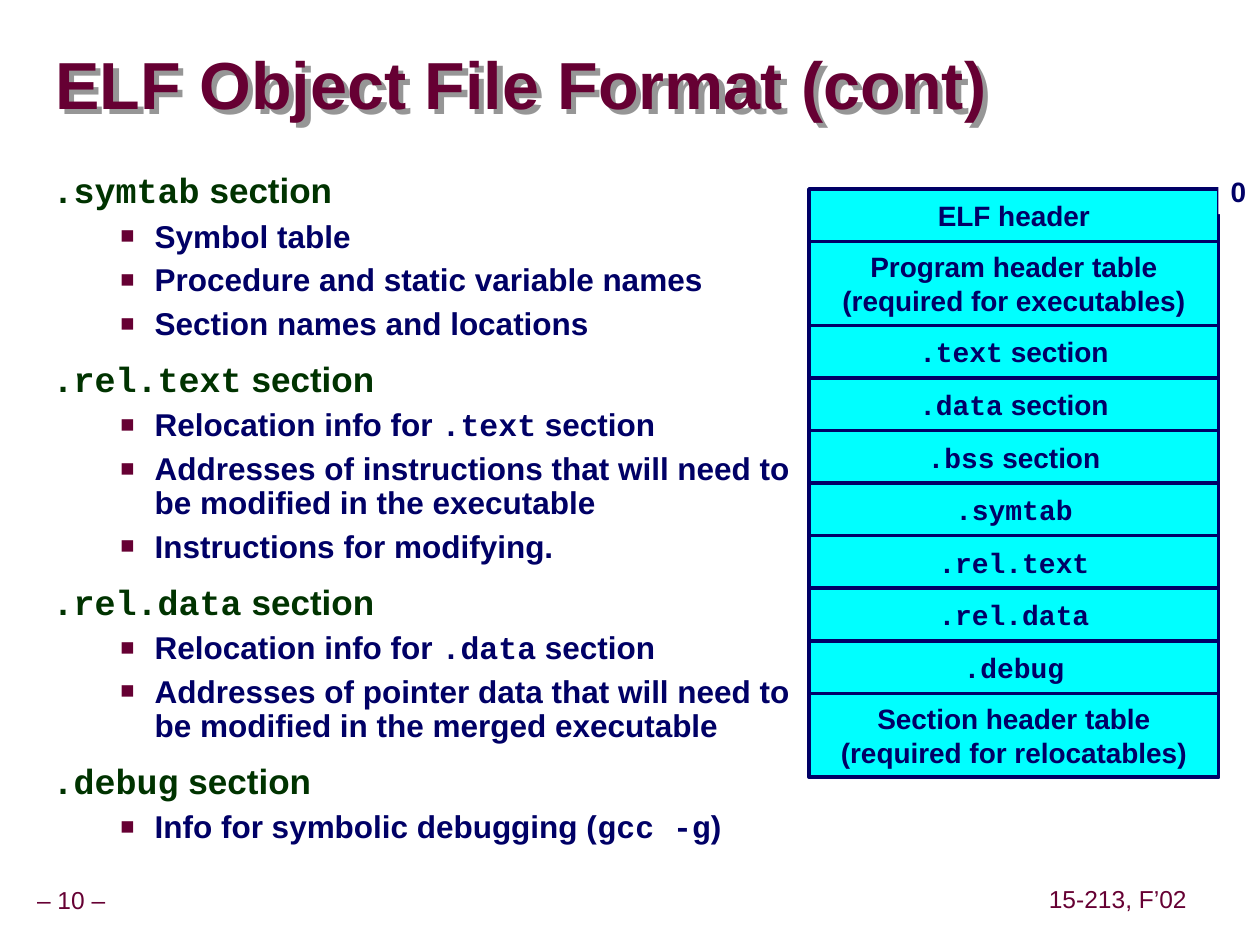
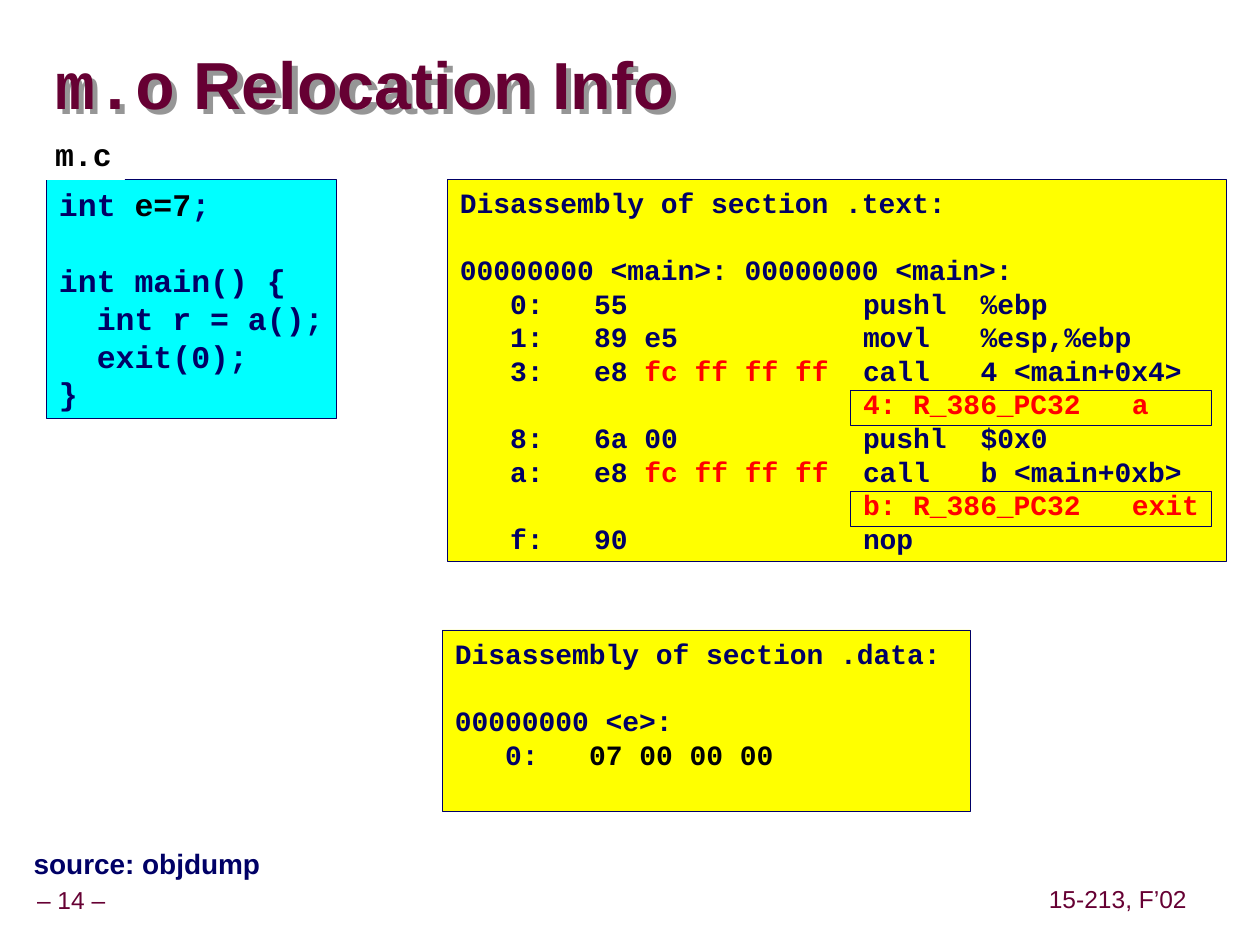
from dataclasses import dataclass, replace

from lxml import etree
from pptx import Presentation
from pptx.dml.color import RGBColor
from pptx.enum.shapes import MSO_SHAPE
from pptx.enum.text import MSO_ANCHOR, PP_ALIGN
from pptx.oxml.ns import qn
from pptx.util import Cm, Pt

RECT = MSO_SHAPE.RECTANGLE
TOP, MIDDLE = MSO_ANCHOR.TOP, MSO_ANCHOR.MIDDLE
LEFT, CENTER = PP_ALIGN.LEFT, PP_ALIGN.CENTER
LINE_HEIGHT = 1.2  # line pitch per point of type
CHAR_WIDTH = 0.6  # Courier advance per point of type


@dataclass(frozen=True)
class Style:
    size: int
    color: str
    font: str = "Arial"
    bold: bool = True

    def mono(self):
        return replace(self, font="Courier New")

    def tinted(self, color):
        return replace(self, color=color)


@dataclass(frozen=True)
class Theme:
    maroon: str = "660033"
    navy: str = "000066"
    green: str = "003300"
    cyan: str = "00FFFF"
    yellow: str = "FFFF00"
    red: str = "FF0000"
    ink: str = "000004"
    black: str = "000000"
    white: str = "FFFFFF"
    shadow: str = "969696"
    title: Style = Style(38, maroon)
    footer: Style = Style(14, maroon, bold=False)
    heading: Style = Style(20, green)
    bullet: Style = Style(18, navy)
    label: Style = Style(16, navy)


T = Theme()
LISTING = T.label.mono()
SOURCE_CODE = T.bullet.mono()


def sub(parent, tag, **attrs):
    return etree.SubElement(parent, qn(tag), {k: str(v) for k, v in attrs.items()})


def write(p, marked, base, accent=None, spacing=1.0, before=0, align=LEFT):
    """Fill a paragraph; parts between backticks take the accent style."""
    p.alignment = align
    p.line_spacing = Pt(round(base.size * LINE_HEIGHT * spacing, 1))
    p.space_before = Pt(before)
    for i, part in enumerate(marked.split("`")):
        if not part:
            continue
        style = accent if i % 2 else base
        r = p.add_run()
        r.text = part
        r.font.size = Pt(style.size)
        r.font.name = style.font
        r.font.bold = style.bold
        r.font.color.rgb = RGBColor.from_string(style.color)


def paragraphs(tf):
    """Yield the first paragraph of a frame, then new ones on demand.

    In a zip it goes last, so that no paragraph is added after the text ends.
    """
    yield tf.paragraphs[0]
    while True:
        yield tf.add_paragraph()


def set_frame(tf, anchor=TOP, left=0.25, right=0.0, vertical=0.13):
    tf.word_wrap = True
    tf.vertical_anchor = anchor
    tf.margin_left, tf.margin_right = Cm(left), Cm(right)
    tf.margin_top = tf.margin_bottom = Cm(vertical)


def add_text(s, box, anchor=TOP, **margins):
    sp = s.shapes.add_textbox(*map(Cm, box))
    set_frame(sp.text_frame, anchor, **margins)
    return sp


def add_box(s, box, fill=None, line=None, width=0.25, anchor=TOP, **margins):
    sp = s.shapes.add_shape(RECT, *map(Cm, box))
    sp.shadow.inherit = False
    if fill:
        sp.fill.solid()
        sp.fill.fore_color.rgb = RGBColor.from_string(fill)
    else:
        sp.fill.background()
    if line:
        sp.line.color.rgb = RGBColor.from_string(line)
        sp.line.width = Pt(width)
    else:
        sp.line.fill.background()
    set_frame(sp.text_frame, anchor, **margins)
    return sp


def add_title(s, marked):
    sp = add_text(s, (1.12, 0.69, 24.21, 2.16), MIDDLE, left=0, vertical=0)
    write(sp.text_frame.paragraphs[0], marked, T.title, T.title.mono(), 0.87)
    effects = sub(sp._element.spPr, "a:effectLst")
    shadow = sub(effects, "a:outerShdw", dist=Cm(0.15), dir=45 * 60000,
                 algn="tl", rotWithShape=0)
    sub(shadow, "a:srgbClr", val=T.shadow)


def add_footers(s, number):
    for text, box in ((f"– {number} –", (0, 17.78, 2.87, 0.79)),
                      ("15-213, F’02", (21.01, 17.75, 3.05, 0.79))):
        tf = add_text(s, box, MIDDLE, left=0).text_frame
        write(tf.paragraphs[0], text, T.footer, spacing=0.9, align=CENTER)


def new_slide(prs, title, number):
    s = prs.slides.add_slide(prs.slide_layouts[6])
    add_footers(s, number)
    add_title(s, title)
    return s


def set_bullet(p):
    pPr = p._p.get_or_add_pPr()
    pPr.set("marL", str(Cm(2.06)))
    pPr.set("indent", str(Cm(-0.69)))
    sub(sub(pPr, "a:buClr"), "a:srgbClr", val=T.maroon)
    sub(pPr, "a:buSzPct", val=75000)
    sub(pPr, "a:buFont", typeface="Arial")
    sub(pPr, "a:buChar", char="■")


def add_outline(s, box, sections):
    tf = add_text(s, box, right=0.25).text_frame
    new = paragraphs(tf)
    for heading, bullets in sections:
        write(next(new), heading, T.heading, T.heading.mono(), 0.85, 12.5)
        for bullet in bullets:
            p = next(new)
            write(p, bullet, T.bullet, T.bullet.mono(), 0.9, 5.6)
            set_bullet(p)


def add_stack(s, left, top, width, cells):
    """Pile up boxes whose height follows their number of lines."""
    heights = {1: 1.06, 2: 1.69}
    for lines in cells:
        height = heights[len(lines)]
        sp = add_box(s, (left, top, width, height), T.cyan, T.navy, 2, MIDDLE, right=0.25)
        for line, p in zip(lines, paragraphs(sp.text_frame)):
            write(p, line, T.label, T.label.mono(), align=CENTER)
        top += height


def add_code(s, box, fill, lines, style, accent_color):
    """Lines are (text, columns of its tab stops, blank line before)."""
    sp = add_box(s, box, fill, T.navy)
    for (text, columns, gap), p in zip(lines, paragraphs(sp.text_frame)):
        before = style.size * LINE_HEIGHT if gap else 0
        write(p, text, style, style.tinted(accent_color), before=before)
        if columns:
            tabs = sub(p._p.get_or_add_pPr(), "a:tabLst")
            for column in columns:
                sub(tabs, "a:tab", pos=Pt(column * style.size * CHAR_WIDTH), algn="l")


def build_format_slide(prs):
    s = new_slide(prs, "ELF Object File Format (cont)", 10)
    add_outline(s, (0.81, 3.4, 15.49, 14.5), [
        ("`.symtab` section", [
            "Symbol table",
            "Procedure and static variable names",
            "Section names and locations"]),
        ("`.rel.text` section", [
            "Relocation info for `.text` section",
            "Addresses of instructions that will need to be modified in the executable",
            "Instructions for modifying."]),
        ("`.rel.data` section", [
            "Relocation info for `.data` section",
            "Addresses of pointer data that will need to be modified in the merged executable"]),
        ("`.debug` section", ["Info for symbolic debugging (`gcc -g`)"]),
    ])
    add_stack(s, 16.31, 3.81, 8.26, [
        ["ELF header"],
        ["Program header table", "(required for executables)"],
        *([f"`{name}` section"] for name in (".text", ".data", ".bss")),
        *([f"`{name}`"] for name in (".symtab", ".rel.text", ".rel.data", ".debug")),
        ["Section header table", "(required for relocatables)"],
    ])
    offset = add_box(s, (24.56, 3.38, 0.81, 0.94), T.white)
    write(offset.text_frame.paragraphs[0], "0", T.label)


def build_relocation_slide(prs):
    s = new_slide(prs, "`m.o` Relocation Info", 14)
    instruction = (3, 8, 24, 31)
    relocation = (24, 40)
    add_code(s, (9.02, 3.61, 15.7, 7.7), T.yellow, [
        ("Disassembly of section .text:", (), False),
        ("00000000 <main>: 00000000 <main>:", (), True),
        ("\t0:\t55\tpushl\t%ebp", instruction, False),
        ("\t1:\t89 e5\tmovl\t%esp,%ebp", instruction, False),
        ("\t3:\te8 `fc ff ff ff`\tcall\t4 <main+0x4>", instruction, False),
        ("`\t4: R_386_PC32\ta`", relocation, False),
        ("\t8:\t6a 00\tpushl\t$0x0", instruction, False),
        ("\ta:\te8 `fc ff ff ff`\tcall\tb <main+0xb>", instruction, False),
        ("`\tb: R_386_PC32\texit`", relocation, False),
        ("\tf:\t90\tnop", instruction, False),
    ], LISTING, T.red)
    add_code(s, (8.92, 12.7, 10.64, 3.66), T.yellow, [
        ("Disassembly of section .data:", (), False),
        ("00000000 <e>:", (), True),
        ("\t0:\t`07 00 00 00`", instruction, False),
    ], LISTING, T.ink)
    tool = add_text(s, (0.43, 16.94, 5.08, 0.94))
    write(tool.text_frame.paragraphs[0], "source: objdump", T.label)
    add_code(s, (0.94, 3.61, 5.84, 4.83), T.cyan, [
        ("int `e=7`;", (), False),
        ("int main() {", (), True),
        ("\tint r = a();", (2,), False),
        ("\texit(0);", (2,), False),
        ("}", (), False),
    ], SOURCE_CODE, T.ink)
    file_name = add_box(s, (0.86, 2.59, 1.65, 1.02), line=T.white)
    write(file_name.text_frame.paragraphs[0], "m.c", SOURCE_CODE.tinted(T.black))
    for top in (7.87, 9.91):
        add_box(s, (17.15, top, 7.26, 0.71), line=T.navy)


def main():
    prs = Presentation()
    prs.slide_width, prs.slide_height = Cm(25.4), Cm(19.05)
    build_format_slide(prs)
    build_relocation_slide(prs)
    prs.save("out.pptx")


if __name__ == "__main__":
    main()
